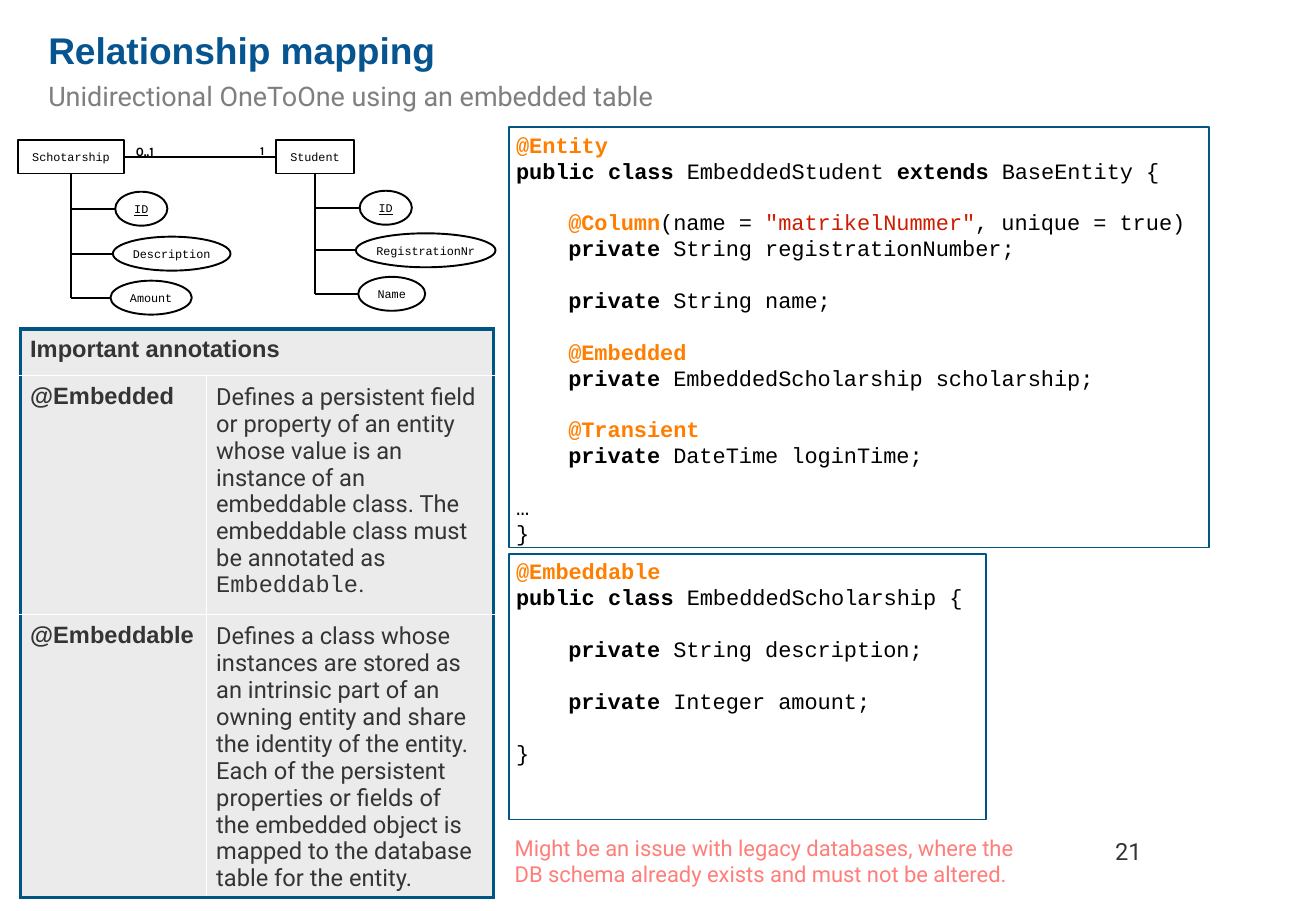
from dataclasses import dataclass

from lxml import etree
from pptx import Presentation
from pptx.dml import color
from pptx.enum import shapes, text
from pptx.oxml import ns
from pptx.util import Cm, Pt


@dataclass(frozen=True)
class Theme:
    title: str = "075590"
    edge: str = "005583"
    grey: str = "7F7F7F"
    dark: str = "343434"
    ink: str = "000000"
    mark: str = "FF7E00"
    quote: str = "CD1D00"
    note: str = "FF7E79"
    pale: str = "EBEBEB"
    white: str = "FFFFFF"
    head: str = "Arial"
    body: str = "Roboto"
    mono: str = "Courier New"
    card: str = "Karla"
    big: float = 22
    sub: float = 16
    cell: float = 14
    code: float = 13
    small: float = 7
    tag: float = 7.5


T = Theme()


@dataclass(frozen=True)
class Label:
    text: str
    x: float
    y: float
    w: float
    h: float
    font: str
    size: float
    tint: str
    bold: bool = False
    lead: float = 0


@dataclass(frozen=True)
class Node:
    text: str
    x: float
    y: float
    w: float
    line: bool = False


@dataclass(frozen=True)
class Tree:
    root: Node
    leaves: tuple[Node, ...]


@dataclass(frozen=True)
class Bit:
    text: str
    tint: str = T.ink
    bold: bool = False


@dataclass(frozen=True)
class Line:
    bits: tuple[Bit, ...]
    deep: bool = False
    gap: bool = False


@dataclass(frozen=True)
class Block:
    x: float
    y: float
    w: float
    h: float
    lines: tuple[Line, ...]


def key(word: str) -> Bit:
    return Bit(word, bold=True)


def mark(word: str) -> Bit:
    return Bit(word, T.mark, True)


def field(name: str, gap: bool = False) -> Line:
    return Line((key("private "), Bit(name)), True, gap)


def start(name: str, *more: Bit) -> Line:
    return Line((key("public class "), Bit(name), *more))


LABELS = (
    Label("Relationship mapping", 0.99, 0.55, 8.18, 1, T.head, T.big, T.title, True),
    Label("Unidirectional OneToOne using an embedded table", 0.99, 1.64, 13.5, 0.74,
          T.body, T.sub, T.grey),
    Label("0..1", 2.82, 2.97, 0.9, 0.4, T.card, T.tag, T.ink, True),
    Label("1", 5.42, 2.97, 0.3, 0.4, T.card, T.small, T.ink, True),
    Label("Might be an issue with legacy databases, where the\v"
          "DB schema already exists and must not be altered.",
          10.74, 17.45, 11, 1.14, T.body, T.code, T.note, lead=15),
    Label("21", 23.29, 17.48, 0.8, 0.66, T.body, T.cell, T.dark),
)
TREES = (
    Tree(Node("Schotarship", 0.38, 2.92, 2.21), (
        Node("ID", 2.41, 4.01, 1.09, True),
        Node("Description", 2.36, 4.95, 2.46),
        Node("Amount", 2.31, 5.87, 1.7))),
    Tree(Node("Student", 5.77, 2.92, 1.63), (
        Node("ID", 7.52, 3.99, 1.09, True),
        Node("RegistrationNr", 7.44, 4.88, 2.92),
        Node("Name", 7.49, 5.79, 1.4))),
)
BLOCKS = (
    Block(10.64, 2.66, 14.63, 8.79, (
        Line((mark("@Entity"),)),
        start("EmbeddedStudent ", key("extends "), Bit("BaseEntity {")),
        Line((mark("@Column"), Bit("(name = "), Bit('"matrikelNummer"', T.quote),
              Bit(", unique = true)")), True, True),
        field("String registrationNumber;"),
        field("String name;", True),
        Line((mark("@Embedded"),), True, True),
        field("EmbeddedScholarship scholarship;"),
        Line((mark("@Transient"),), True, True),
        field("DateTime loginTime;"),
        Line((Bit("…"),), gap=True),
        Line((Bit("}"),)))),
    Block(10.64, 11.58, 9.98, 5.56, (
        Line((mark("@Embeddable"),)),
        start("EmbeddedScholarship {"),
        field("String description;", True),
        field("Integer amount;", True),
        Line((Bit("}"),), gap=True))),
)
NOTES = (
    ("Important annotations", "", ""),
    ("@Embedded", "Defines a persistent field\vor property of an entity\vwhose value is an\v"
     "instance of an\vembeddable class. The\vembeddable class must\vbe annotated as\v",
     "Embeddable"),
    ("@Embeddable", "Defines a class whose\vinstances are stored as\van intrinsic part of an\v"
     "owning entity and share\vthe identity of the entity.\vEach of the persistent\v"
     "properties or fields of\vthe embedded object is\vmapped to the database\v"
     "table for the entity.", ""),
)
ROWS = (0.97, 5, 5.92)
COLS = (3.89, 5.99)
NODE = 0.71


def tint(value: str) -> color.RGBColor:
    return color.RGBColor.from_string(value)


def style(font, name: str, size: float, value: str, bold: bool = False) -> None:
    font.name, font.size, font.bold = name, Pt(size), bold
    font.color.rgb = tint(value)


def pad(item, left: float = 0, top: float = 0) -> None:
    item.margin_left, item.margin_top = Cm(left), Cm(top)
    item.margin_right = item.margin_bottom = 0


def label(page, spec_: Label) -> None:
    box = page.shapes.add_textbox(Cm(spec_.x), Cm(spec_.y), Cm(spec_.w), Cm(spec_.h))
    frame = box.text_frame
    pad(frame, 0.02, 0.03)
    frame.word_wrap = True
    para = frame.paragraphs[0]
    para.text = spec_.text
    style(para.font, spec_.font, spec_.size, spec_.tint, spec_.bold)
    if spec_.lead:
        para.line_spacing = Pt(spec_.lead)


def shape(page, kind, x: float, y: float, w: float, h: float, edge: str, width: float):
    item = page.shapes.add_shape(kind, Cm(x), Cm(y), Cm(w), Cm(h))
    item.shadow.inherit = False
    item.fill.background()
    item.line.color.rgb = tint(edge)
    item.line.width = Pt(width)
    pad(item.text_frame)
    return item


def node(page, kind, leaf: Node):
    item = shape(page, kind, leaf.x, leaf.y, leaf.w, NODE, T.ink, 1.12)
    item.text_frame.word_wrap = False
    para = item.text_frame.paragraphs[0]
    para.text, para.alignment = leaf.text, text.PP_ALIGN.CENTER
    style(para.font, T.mono, T.small, T.ink)
    para.font.underline = leaf.line
    return item


def link(page, x: float, y: float, to_x: float, to_y: float):
    line = page.shapes.add_connector(shapes.MSO_CONNECTOR.STRAIGHT,
                                     Cm(x), Cm(y), Cm(to_x), Cm(to_y))
    line.line.color.rgb, line.line.width = tint(T.ink), Pt(1.12)
    etree.SubElement(line._element.spPr, ns.qn("a:effectLst"))
    return line


def tree(page, plan: Tree):
    root = plan.root
    box = node(page, shapes.MSO_SHAPE.RECTANGLE, root)
    mid = root.x + root.w / 2
    trunk = link(page, mid, root.y + NODE, mid, plan.leaves[-1].y + NODE / 2)
    trunk.begin_connect(box, 2)
    for leaf in plan.leaves:
        node(page, shapes.MSO_SHAPE.OVAL, leaf)
        level = leaf.y + NODE / 2
        link(page, mid, level, leaf.x, level)
    return box


def block(page, plan: Block) -> None:
    box = shape(page, shapes.MSO_SHAPE.RECTANGLE, plan.x, plan.y, plan.w, plan.h, T.edge, 1)
    frame = box.text_frame
    pad(frame, 0.15, 0.1)
    frame.vertical_anchor = text.MSO_ANCHOR.TOP
    for i, line in enumerate(plan.lines):
        para = frame.add_paragraph() if i else frame.paragraphs[0]
        para.alignment = text.PP_ALIGN.LEFT
        para.line_spacing = Pt(15.3)
        para.space_before = Pt(15.4 if line.gap else 0)
        para.font.name, para.font.size = T.mono, Pt(T.code)
        if line.deep:
            para._p.get_or_add_pPr().set("marL", str(Cm(1.09)))
        for bit in line.bits:
            run = para.add_run()
            run.text, run.font.bold = bit.text, bit.bold
            run.font.color.rgb = tint(bit.tint)


def edges(cell, row: int, col: int) -> None:
    outer = {"L": col == 0, "R": col == 1 or row == 0, "T": row == 0, "B": row == 2}
    props = cell._tc.get_or_add_tcPr()
    for i, (side, thick) in enumerate(outer.items()):
        line = etree.Element(ns.qn(f"a:ln{side}"), w=str(Pt(2.25 if thick else 1)))
        fill = etree.SubElement(line, ns.qn("a:solidFill"))
        etree.SubElement(fill, ns.qn("a:srgbClr"), val=T.edge if thick else T.white)
        props.insert(i, line)


def table(page) -> None:
    grid = page.shapes.add_table(3, 2, Cm(0.43), Cm(6.88), Cm(sum(COLS)), Cm(sum(ROWS))).table
    for part, width in zip(grid.columns, COLS):
        part.width = Cm(width)
    for r, (name, words, code) in enumerate(NOTES):
        grid.rows[r].height = Cm(ROWS[r])
        for c, words_ in enumerate((name, words)):
            cell = grid.cell(r, c)
            pad(cell, 0.2, 0.18 if c else 0.15)
            cell.fill.solid()
            cell.fill.fore_color.rgb = tint(T.pale)
            edges(cell, r, c)
            para = cell.text_frame.paragraphs[0]
            para.text = words_
            style(para.font, T.body if c else T.head, T.cell, T.dark, not c)
            if c and r:
                para.line_spacing = Pt(16)
            if c and code:
                run = para.add_run()
                run.text, run.font.name = code, T.mono
                para.add_run().text = "."
    grid.cell(0, 0).merge(grid.cell(0, 1))


def main() -> None:
    deck = Presentation()
    deck.slide_width, deck.slide_height = Cm(27.51), Cm(19.05)
    page = deck.slides.add_slide(deck.slide_layouts[6])
    left, right = (tree(page, plan) for plan in TREES)
    bond = link(page, 2.59, 3.28, 5.77, 3.28)
    bond.begin_connect(left, 3)
    bond.end_connect(right, 1)
    for plan in BLOCKS:
        block(page, plan)
    table(page)
    for item in LABELS:
        label(page, item)
    deck.save("out.pptx")


if __name__ == "__main__":
    main()
